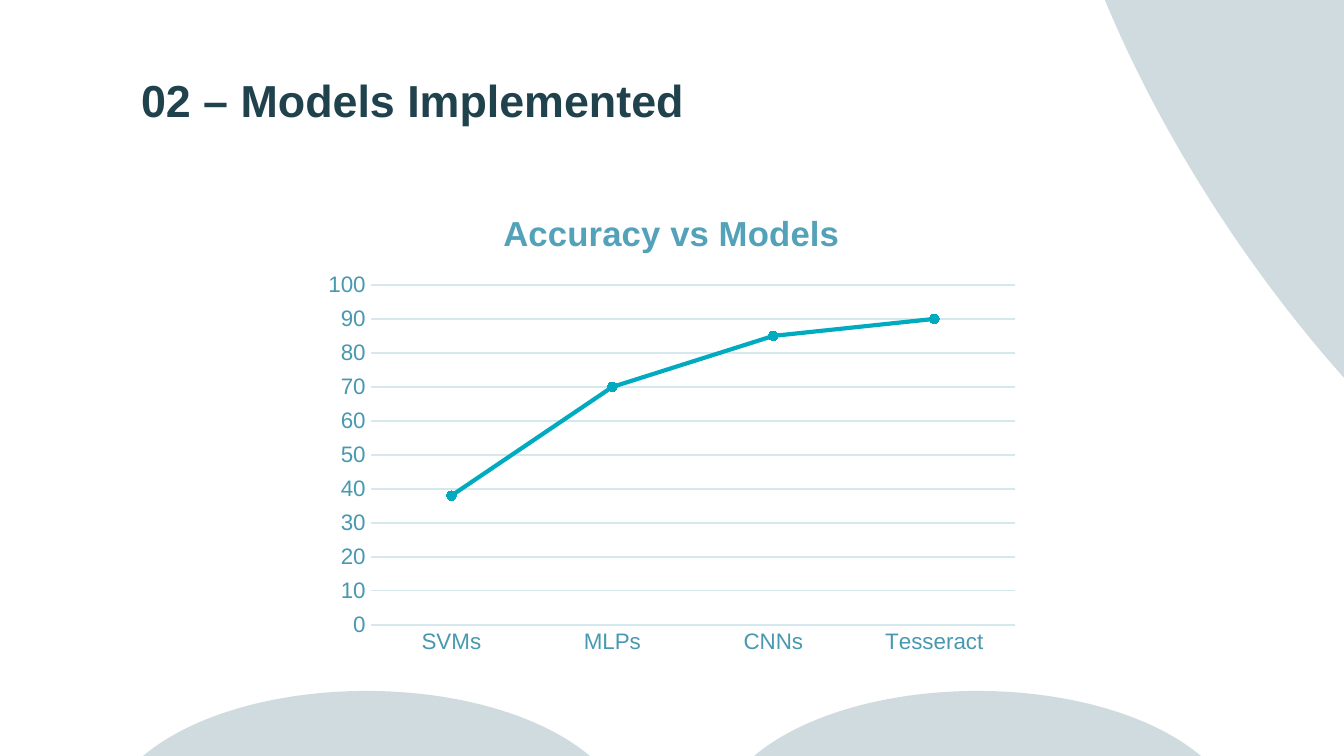
from lxml import etree
from pptx import Presentation
from pptx.chart.data import CategoryChartData
from pptx.dml.color import RGBColor
from pptx.enum.chart import XL_CHART_TYPE, XL_MARKER_STYLE, XL_TICK_MARK
from pptx.enum.shapes import MSO_SHAPE
from pptx.enum.text import MSO_ANCHOR, PP_ALIGN
from pptx.oxml.ns import qn
from pptx.util import Emu, Pt

LINE_MARKERS = XL_CHART_TYPE.LINE_MARKERS
CIRCLE = XL_MARKER_STYLE.CIRCLE
NO_TICK = XL_TICK_MARK.NONE
ELLIPSE = MSO_SHAPE.OVAL
MIDDLE = MSO_ANCHOR.MIDDLE
LEFT = PP_ALIGN.LEFT

EMU_PER_PX = 914400 / 134.4
SLIDE = (1344, 756)
CHART_BOX = (314, 187, 715, 477)
PLOT_BOX = (371, 285, 644, 340)
CHART_TITLE_AT = (497, 204)

FONT = "Arial"
WHITE = "FFFFFF"
DARK = "1F424C"
AXIS_TEXT = "4899B0"
CHART_TITLE = "53A2B9"
GRID = "D4E8ED"
ELLIPSE_FILL = "336574"
MODELS = ["SVMs", "MLPs", "CNNs", "Tesseract"]
SERIES = [
    ("Series 1", [None] * 4, "F4D000"),
    ("Series 2", [None] * 4, "E83D3D"),
    ("Series 3", [38, 70, 85, 90], "00ABBF"),
]


def px(length):
    return Emu(round(length * EMU_PER_PX))


def color(hex_value):
    return RGBColor.from_string(hex_value)


def style_font(font, hex_value, **values):
    for name, value in {"name": FONT, **values}.items():
        setattr(font, name, value)
    font.color.rgb = color(hex_value)


def style_fill(fill, hex_value):
    fill.solid()
    fill.fore_color.rgb = color(hex_value)


def style_line(line, hex_value, width):
    line.color.rgb = color(hex_value)
    line.width = Pt(width)


def add_ellipse(page, place, fill):
    ellipse = page.shapes.add_shape(ELLIPSE, *map(px, place))
    ellipse.shadow.inherit = False
    style_fill(ellipse.fill, fill)
    return ellipse


def add_tinted_ellipse(page, place, rotation=0):
    ellipse = add_ellipse(page, place, ELLIPSE_FILL)
    ellipse.rotation = rotation
    ellipse.line.fill.background()
    fill_color = ellipse.element.find(".//" + qn("a:srgbClr"))
    etree.SubElement(fill_color, qn("a:alpha")).set("val", "23000")


def set_title(page, text, place):
    title = page.shapes.title
    title.left, title.top, title.width, title.height = map(px, place)
    frame = title.text_frame
    margin = px(13)
    settings = {"vertical_anchor": MIDDLE, "word_wrap": True,
                "margin_left": margin, "margin_right": margin,
                "margin_top": margin, "margin_bottom": margin}
    for name, value in settings.items():
        setattr(frame, name, value)
    para = frame.paragraphs[0]
    para.alignment = LEFT
    span = para.add_run()
    span.text = text
    style_font(span.font, DARK, size=Pt(24), bold=True)


def set_layout(parent, index, values):
    """Place a chart part by fractions of the chart's size."""
    for old in parent.findall(qn("c:layout")):
        parent.remove(old)
    layout = etree.Element(qn("c:layout"))
    parent.insert(index, layout)
    manual = etree.SubElement(layout, qn("c:manualLayout"))
    for name, value in values.items():
        etree.SubElement(manual, qn("c:" + name)).set("val", str(value))


def fractions(place):
    left, top, width, height = CHART_BOX
    names = ("x", "y", "w", "h")
    parts = (place[0] - left, place[1] - top, *place[2:])
    sizes = (width, height, width, height)
    return {name: round(part / size, 4)
            for name, part, size in zip(names, parts, sizes)}


def style_axis(axis):
    axis.major_tick_mark = NO_TICK
    axis.minor_tick_mark = NO_TICK
    style_font(axis.tick_labels.font, AXIS_TEXT, size=Pt(12))


def style_series(series, hex_value):
    series.smooth = False
    style_line(series.format.line, hex_value, 2.25)
    marker = series.marker
    marker.style = CIRCLE
    marker.size = 5
    style_fill(marker.format.fill, hex_value)
    style_line(marker.format.line, hex_value, 0.75)


def add_line_chart(page, title):
    data = CategoryChartData()
    data.categories = MODELS
    for name, values, _ in SERIES:
        data.add_series(name, values)
    frame = page.shapes.add_chart(LINE_MARKERS, *map(px, CHART_BOX), data)
    chart = frame.chart
    chart.has_legend = False
    style_font(chart.font, DARK, size=Pt(10))

    # Chart title
    chart.has_title = True
    para = chart.chart_title.text_frame.paragraphs[0]
    span = para.add_run()
    span.text = title
    style_font(span.font, CHART_TITLE, size=Pt(18.6), bold=True)

    # Axes
    style_axis(chart.category_axis)
    style_line(chart.category_axis.format.line, GRID, 0.75)
    axis = chart.value_axis
    style_axis(axis)
    scale = {"minimum_scale": 0, "maximum_scale": 100, "major_unit": 10,
             "has_major_gridlines": True}
    for name, value in scale.items():
        setattr(axis, name, value)
    axis.format.line.fill.background()
    style_line(axis.major_gridlines.format.line, GRID, 0.75)

    # Series
    plot = chart.plots[0]
    plot.vary_by_categories = False
    for series, (_, _, hex_value) in zip(plot.series, SERIES):
        style_series(series, hex_value)

    # Positions inside the chart
    edges = {"xMode": "edge", "yMode": "edge"}
    plot_area = chart.element.find(".//" + qn("c:plotArea"))
    set_layout(plot_area, 0,
               {"layoutTarget": "inner", **edges, **fractions(PLOT_BOX)})
    title_element = chart.element.find(".//" + qn("c:title"))
    set_layout(title_element, 1, {**edges, **fractions(CHART_TITLE_AT)})


def main():
    deck = Presentation()
    deck.slide_width, deck.slide_height = map(px, SLIDE)
    page = deck.slides.add_slide(deck.slide_layouts[5])

    # Background ellipses
    add_tinted_ellipse(page, (833, -208, 1282, 574), rotation=55.5)
    for left in (105, 716):
        add_tinted_ellipse(page, (left, 691, 523, 271))

    # Corner circle
    circle = add_ellipse(page, (24, 16, 56, 56), WHITE)
    style_line(circle.line, WHITE, 0.75)

    # Content
    set_title(page, "02 – Models Implemented", (128, 57, 1134, 85))
    add_line_chart(page, "Accuracy vs Models")
    deck.save("out.pptx")


if __name__ == "__main__":
    main()
